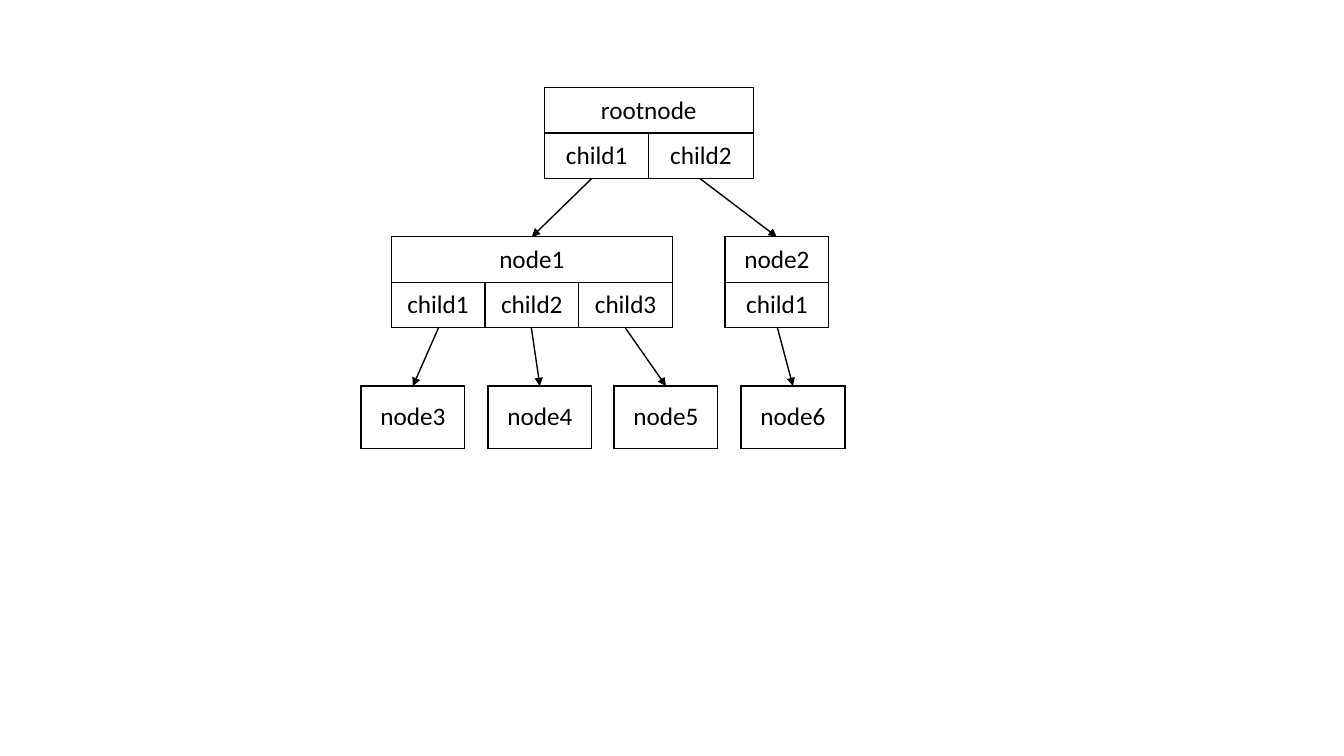
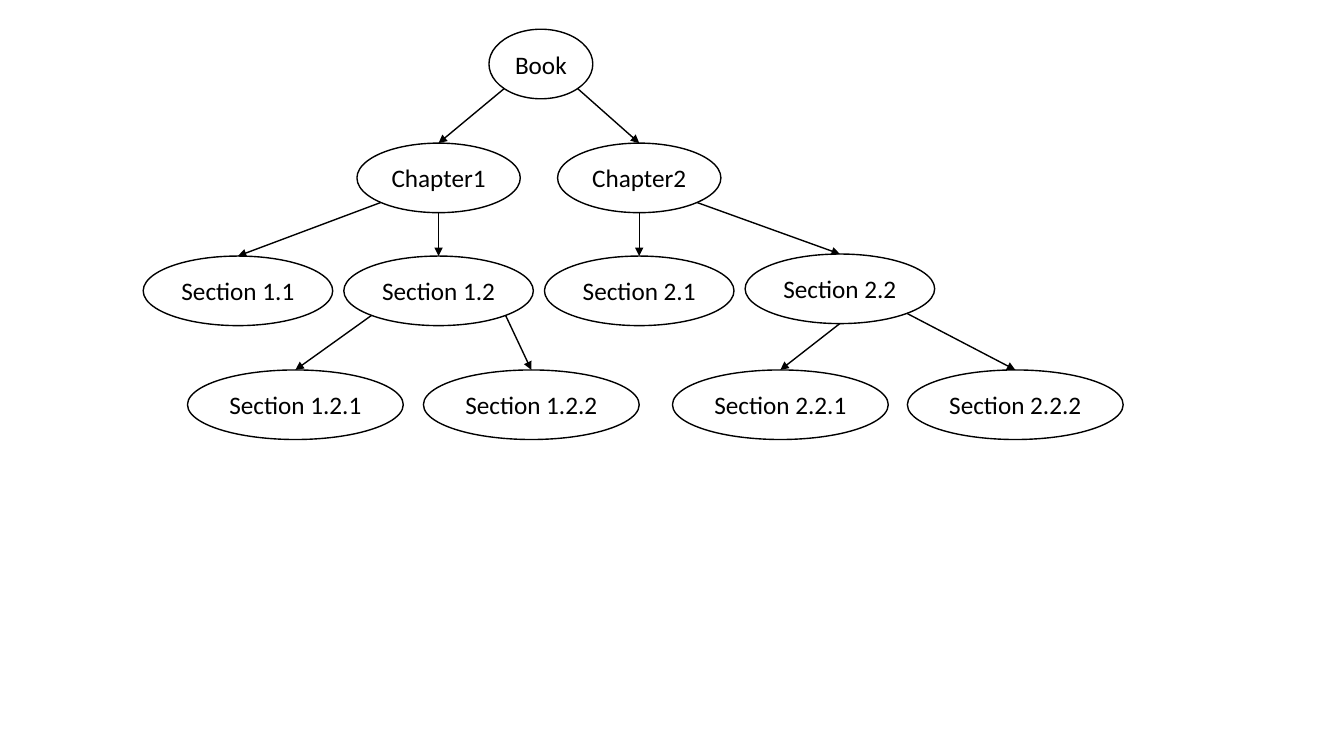
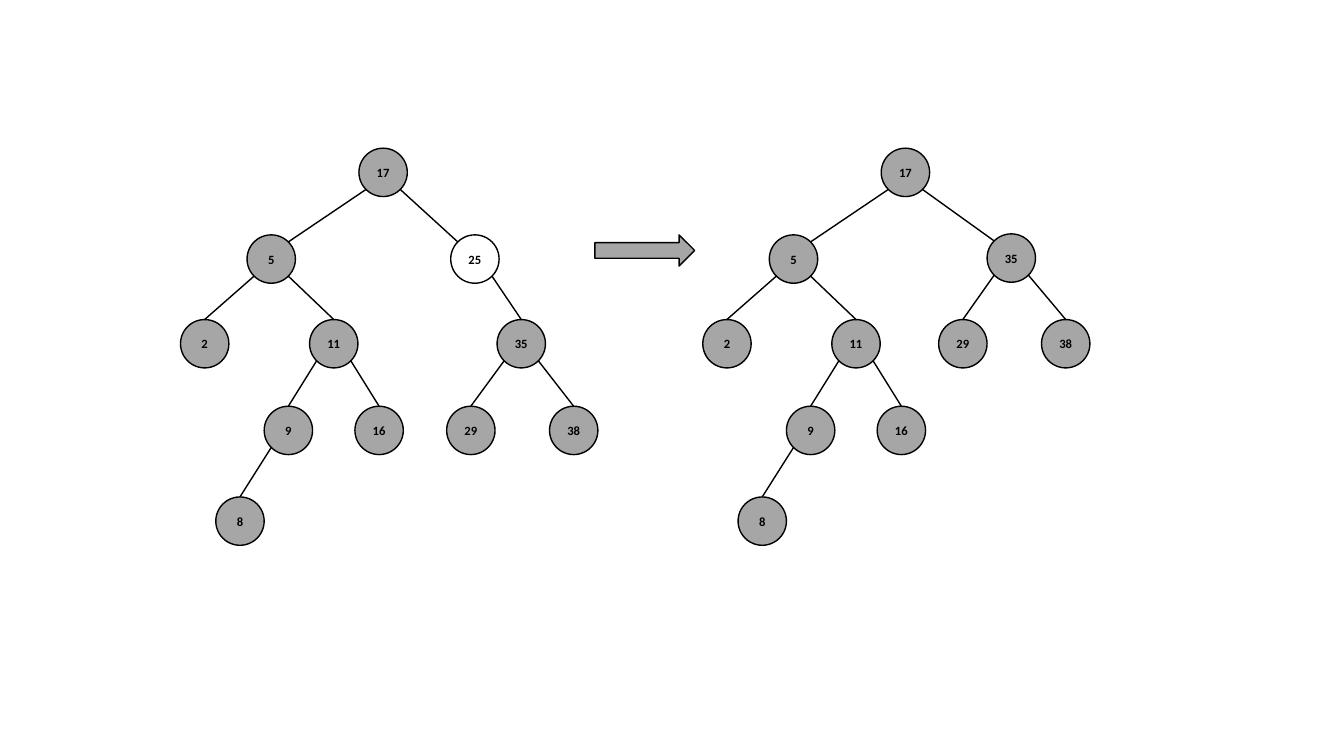
from math import cos, pi

from lxml.etree import SubElement
from pptx import Presentation
from pptx.dml.color import RGBColor
from pptx.enum.shapes import MSO_CONNECTOR, MSO_SHAPE
from pptx.enum.text import MSO_ANCHOR, PP_ALIGN
from pptx.oxml import parse_xml
from pptx.oxml.ns import nsdecls, qn
from pptx.util import Inches, Pt

COLORS = {"ink": "000000", "paper": "FFFFFF", "grey": "A6A6A6"}
LINE_WIDTH = Pt(1)
NODE_FONT = {"name": "Calibri", "size": Pt(18), "bold": False}
KEY_FONT = {"name": "Calibri", "size": Pt(9), "bold": True}
FRAME = {"word_wrap": False, "vertical_anchor": MSO_ANCHOR.MIDDLE,
         "margin_left": 0, "margin_right": 0, "margin_top": 0, "margin_bottom": 0}

DIAGONAL = cos(pi / 4)
SITES = {
    "top left": (-DIAGONAL, -DIAGONAL), "top right": (DIAGONAL, -DIAGONAL),
    "bottom left": (-DIAGONAL, DIAGONAL), "bottom right": (DIAGONAL, DIAGONAL),
    "bottom": (0, 1), "top": (0, -1),
}

ROW_HEIGHT, LEAF_HEIGHT, LEAF_WIDTH = 0.45, 0.62, 1.03
RECORDS = {  # name: (left, top, width, children)
    "rootnode": (5.4, 0.87, 2.07, ["child1", "child2"]),
    "node1": (3.88, 2.35, 2.79, ["child1", "child2", "child3"]),
    "node2": (7.19, 2.35, LEAF_WIDTH, ["child1"]),
} | {f"node{3 + i}": (round(3.58 + 1.256 * i, 2), 3.83, LEAF_WIDTH, []) for i in range(4)}
POINTERS = [  # parent, distance from its left side, child
    ("rootnode", 0.47, "node1"), ("rootnode", 1.54, "node2"),
    ("node1", 0.47, "node3"), ("node1", 1.39, "node4"), ("node1", 2.32, "node5"),
    ("node2", 0.52, "node6"),
]

OVAL_HEIGHT = 0.69
OUTLINE_LEVELS = [  # oval width, {label: (left, top)}
    (1.03, {"Book": (4.85, 0.29)}),
    (1.62, {"Chapter1": (3.54, 1.42), "Chapter2": (5.53, 1.42)}),
    (1.88, {"Section 1.1": (1.42, 2.54), "Section 1.2": (3.41, 2.54),
            "Section 2.1": (5.4, 2.54), "Section 2.2": (7.39, 2.52)}),
    (2.14, {"Section 1.2.1": (1.86, 3.67), "Section 1.2.2": (4.2, 3.67),
            "Section 2.2.1": (6.67, 3.67), "Section 2.2.2": (9, 3.67)}),
]
OUTLINE_LINKS = [
    ("Book", "bottom left", "Chapter1"), ("Book", "bottom right", "Chapter2"),
    ("Chapter1", "bottom left", "Section 1.1"), ("Chapter1", "bottom", "Section 1.2"),
    ("Chapter2", "bottom", "Section 2.1"), ("Chapter2", "bottom right", "Section 2.2"),
    ("Section 1.2", "bottom left", "Section 1.2.1"),
    ("Section 1.2", "bottom right", "Section 1.2.2"),
    ("Section 2.2", "bottom", "Section 2.2.1"),
    ("Section 2.2", "bottom right", "Section 2.2.2"),
]

KEY_SIZE = 0.48
SHARED_KEYS = {"17": (1.77, 0), "5": (0.66, 0.86), "2": (0, 1.7), "11": (1.28, 1.7),
               "9": (0.83, 2.56), "16": (1.73, 2.56), "8": (0.35, 3.46)}
SHARED_LINKS = [("17", "5"), ("5", "2"), ("5", "11"), ("11", "9"), ("11", "16"),
                ("9", "8"), ("35", "29"), ("35", "38")]
KEYS_BEFORE = SHARED_KEYS | {"25": (2.68, 0.86), "35": (3.14, 1.7),
                             "29": (2.64, 2.56), "38": (3.66, 2.56)}
KEYS_AFTER = SHARED_KEYS | {"35": (2.82, 0.85), "29": (2.34, 1.7), "38": (3.36, 1.7)}


def color(name):
    return RGBColor.from_string(COLORS[name])


def write(frame, text, font):
    paragraph = frame.paragraphs[0]
    paragraph.text = text
    paragraph.alignment = PP_ALIGN.CENTER
    for attribute, value in font.items():
        setattr(paragraph.font, attribute, value)
    paragraph.font.color.rgb = color("ink")


def outlined_shape(slide, preset, left, top, width, height, fill):
    shape = slide.shapes.add_shape(preset, Inches(left), Inches(top),
                                   Inches(width), Inches(height))
    shape.shadow.inherit = False
    shape.fill.solid()
    shape.fill.fore_color.rgb = color(fill)
    shape.line.color.rgb = color("ink")
    shape.line.width = LINE_WIDTH
    return shape


def oval(slide, label, left, top, width, height, font, fill="paper"):
    shape = outlined_shape(slide, MSO_SHAPE.OVAL, left, top, width, height, fill)
    for attribute, value in FRAME.items():
        setattr(shape.text_frame, attribute, value)
    write(shape.text_frame, label, font)
    return shape


def link(slide, start, end, arrow=False):
    connector = slide.shapes.add_connector(MSO_CONNECTOR.STRAIGHT, *start, *end)
    connector.line.color.rgb = color("ink")
    connector.line.width = LINE_WIDTH
    if arrow:
        SubElement(connector.line._get_or_add_ln(), qn("a:tailEnd"), type="triangle")
    SubElement(connector._element.spPr, qn("a:effectLst"))
    return connector


def site(shape, name):
    """Return the point of an oval's rim that has the given name."""
    across, down = SITES[name]
    return (round(shape.left + shape.width / 2 * (1 + across)),
            round(shape.top + shape.height / 2 * (1 + down)))


def link_ovals(slide, parent, start, child, end="top", arrow=False):
    connector = link(slide, site(parent, start), site(child, end), arrow)
    if end == "top":
        connector.end_connect(child, 0)


def border(cell):
    properties = cell._tc.get_or_add_tcPr()
    for position, side in enumerate(("lnL", "lnR", "lnT", "lnB")):
        properties.insert(position, parse_xml(
            f'<a:{side} {nsdecls("a")} w="{LINE_WIDTH}"><a:solidFill>'
            f'<a:srgbClr val="{COLORS["ink"]}"/></a:solidFill></a:{side}>'))


def record(slide, name, left, top, width, children):
    """Draw a node as a table: its name above one cell for each child."""
    rows, columns = (2, len(children)) if children else (1, 1)
    height = ROW_HEIGHT * rows if children else LEAF_HEIGHT
    frame = slide.shapes.add_table(rows, columns, Inches(left), Inches(top),
                                   Inches(width), Inches(height))
    table = frame.table
    table.first_row = table.horz_banding = False
    for cell in table.iter_cells():
        cell.fill.background()
        cell.vertical_anchor = MSO_ANCHOR.MIDDLE
        border(cell)
    if columns > 1:
        table.cell(0, 0).merge(table.cell(0, columns - 1))
    write(table.cell(0, 0).text_frame, name, NODE_FONT)
    for column, child in enumerate(children):
        write(table.cell(1, column).text_frame, child, NODE_FONT)
    return frame


def record_tree_slide(slide):
    frames = {name: record(slide, name, *place) for name, place in RECORDS.items()}
    for parent, offset, child in POINTERS:
        source, target = frames[parent], frames[child]
        link(slide, (source.left + Inches(offset), source.top + source.height),
             (target.left + target.width // 2, target.top), arrow=True)


def outline_slide(slide):
    ovals = {label: oval(slide, label, left, top, width, OVAL_HEIGHT, NODE_FONT)
             for width, level in OUTLINE_LEVELS
             for label, (left, top) in level.items()}
    for parent, start, child in OUTLINE_LINKS:
        link_ovals(slide, ovals[parent], start, ovals[child], arrow=True)


def search_tree(slide, left, top, keys, links, root="17", removed="25"):
    """Draw a tree whose removed key is white and whose root links meet rims diagonally."""
    ovals = {key: oval(slide, key, left + x, top + y, KEY_SIZE, KEY_SIZE, KEY_FONT,
                       "paper" if key == removed else "grey")
             for key, (x, y) in keys.items()}
    for parent, child in links:
        side, facing = (("left", "right") if keys[child][0] < keys[parent][0]
                        else ("right", "left"))
        end = f"top {facing}" if parent == root else "top"
        link_ovals(slide, ovals[parent], f"bottom {side}", ovals[child], end)


def removal_slide(slide):
    search_tree(slide, 1.79, 1.47, KEYS_BEFORE,
                SHARED_LINKS + [("17", "25"), ("25", "35")])
    search_tree(slide, 6.97, 1.47, KEYS_AFTER, SHARED_LINKS + [("17", "35")])
    outlined_shape(slide, MSO_SHAPE.RIGHT_ARROW, 5.9, 2.33, 0.99, 0.31, "grey")


def main():
    presentation = Presentation()
    presentation.slide_width, presentation.slide_height = Inches(13.33), Inches(7.5)
    for build in (record_tree_slide, outline_slide, removal_slide):
        build(presentation.slides.add_slide(presentation.slide_layouts[6]))
    presentation.save("out.pptx")


if __name__ == "__main__":
    main()
